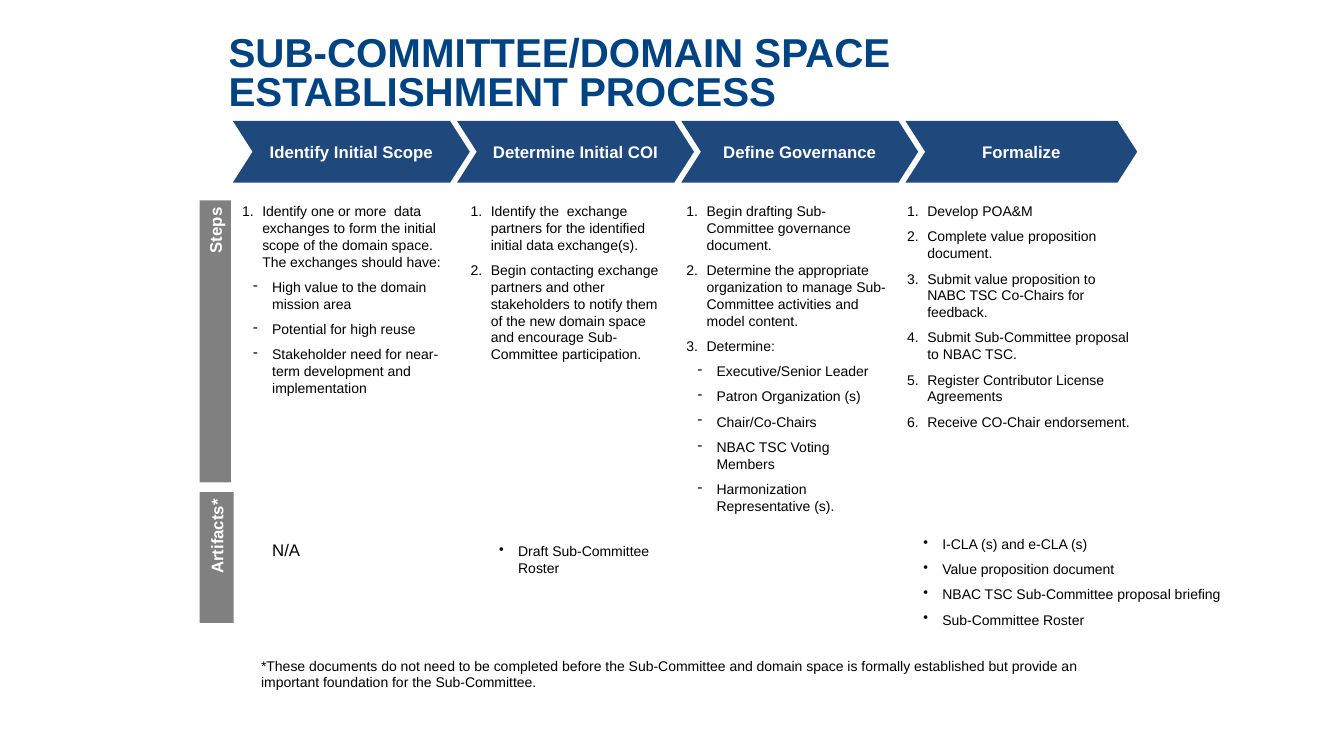
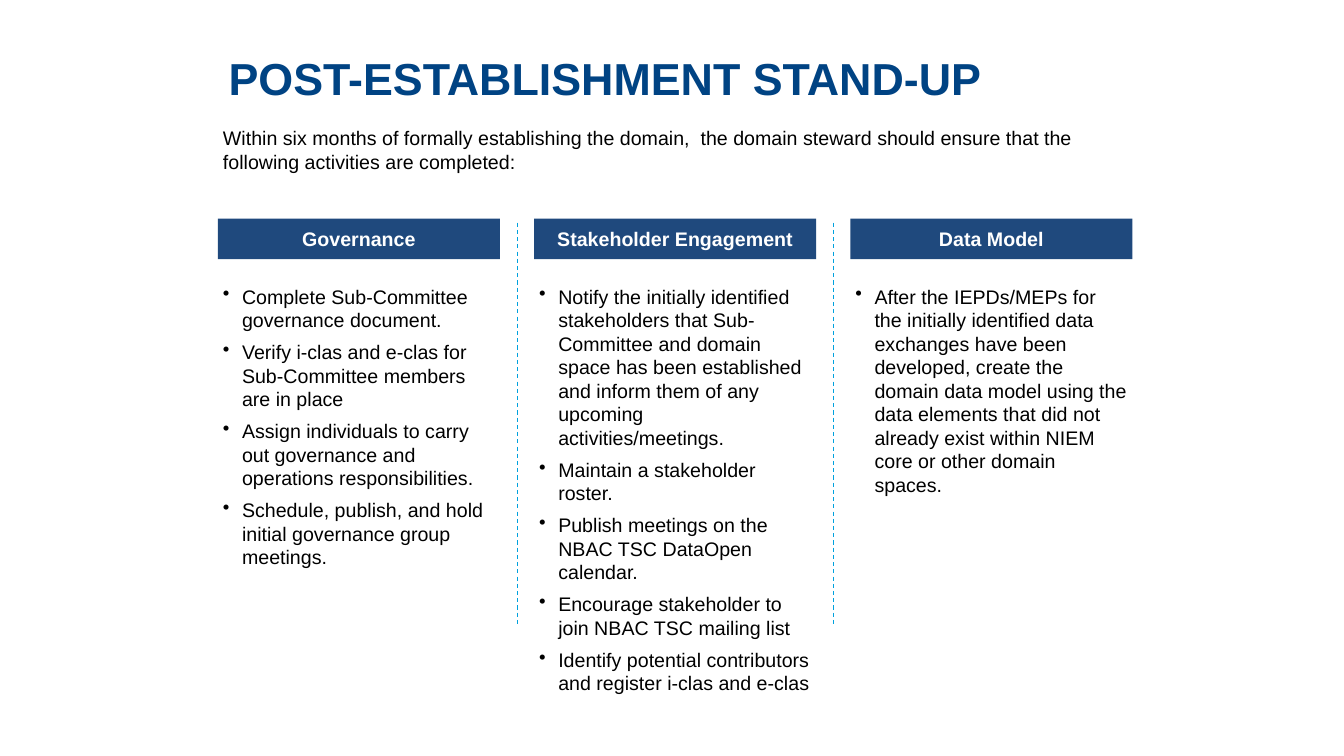
from pptx import Presentation
from pptx.dml.color import RGBColor as RGB
from pptx.enum.dml import MSO_LINE as Dash
from pptx.enum.shapes import MSO_CONNECTOR as Link, MSO_SHAPE as Form
from pptx.enum.text import MSO_ANCHOR as Anchor, MSO_AUTO_SIZE as Fit, PP_ALIGN as Align
from pptx.oxml.ns import qn
from pptx.util import Cm, Pt
from lxml.etree import SubElement as Sub

FONT = "Arial"
HUES = {"title": "004383", "navy": "1F497D", "gray": "808080",
        "rule": "00A1DE", "ink": "000000", "white": "FFFFFF"}

# Mark: left margin, hanging indent, tag, attributes, level
MARKS = {
    "num": (0.51, -0.51, "a:buAutoNum", {"type": "arabicPeriod"}, 0),
    "dot": (0.48, -0.48, "a:buChar", {"char": "\u2022"}, 0),
    "dash": (0.76, -0.48, "a:buChar", {"char": "-"}, 1),
}

# Stage: name, chevron width, text left, text width, steps
STAGES = [
    ("Identify Initial Scope", 5.97, 5.97, 5.49, [
        "Identify one or more  data exchanges to form the initial scope of "
        "the domain space. The exchanges should have:",
        "- High value to the domain mission area",
        "- Potential for high reuse",
        "- Stakeholder need for near-term development and implementation"]),
    ("Determine Initial COI", 5.97, 11.73, 5.11, [
        "Identify the  exchange partners for the identified initial data exchange(s).",
        "Begin contacting exchange partners and other stakeholders to notify them "
        "of the new domain space and encourage Sub-Committee participation."]),
    ("Define Governance", 5.97, 17.17, 5.38, [
        "Begin drafting Sub-Committee governance document.",
        "Determine the appropriate organization to manage Sub-Committee "
        "activities and model content.",
        "Determine:",
        "- Executive/Senior Leader",
        "- Patron Organization (s)",
        "- Chair/Co-Chairs",
        "- NBAC TSC Voting Members",
        "- Harmonization Representative (s)."]),
    ("Formalize", 5.84, 22.73, 5.99, [
        "Develop POA&M",
        "Complete value proposition document.",
        "Submit value proposition to NABC TSC Co-Chairs for feedback.",
        "Submit Sub-Committee proposal to NBAC TSC.",
        "Register Contributor License Agreements",
        "Receive CO-Chair endorsement."]),
]

# Artifact notes: box, size, mark, lines
NOTES = [
    ((6.73, 13.46, 4.24, 1.22), 12, None, ["N/A"]),
    ((12.45, 13.54, 4.85, 1.12), 10, "dot", ["Draft Sub-Committee Roster"]),
    ((23.14, 13.36, 8.69, 3.05), 10, "dot", [
        "I-CLA (s) and e-CLA (s)",
        "Value proposition document",
        "NBAC TSC Sub-Committee proposal briefing",
        "Sub-Committee Roster"]),
    ((6.45, 16.43, 22.1, 1.12), 10, None, [
        "*These documents do not need to be completed before the Sub-Committee "
        "and domain space is formally established but provide an important "
        "foundation for the Sub-Committee."]),
]

TASKS = [
    ("Governance", [
        "Complete Sub-Committee governance document.",
        "Verify i-clas and e-clas for Sub-Committee members are in place",
        "Assign individuals to carry out governance and operations responsibilities.",
        "Schedule, publish, and hold initial governance group meetings."]),
    ("Stakeholder Engagement", [
        "Notify the initially identified stakeholders that Sub-Committee and "
        "domain space has been established and inform them of any upcoming "
        "activities/meetings.",
        "Maintain a stakeholder roster.",
        "Publish meetings on the NBAC TSC DataOpen calendar.",
        "Encourage stakeholder to join NBAC TSC mailing list",
        "Identify potential contributors and register i-clas and e-clas"]),
    ("Data Model", [
        "After the IEPDs/MEPs for the initially identified data exchanges have "
        "been developed, create the domain data model using the data elements "
        "that did not already exist within NIEM core or other domain spaces."]),
]


def tint(hue):
    return RGB.from_string(HUES[hue])


def style(para, size, hue, bold=False):
    for run in para.runs:
        font = run.font
        font.name, font.size, font.bold = FONT, Pt(size), bold
        font.color.rgb = tint(hue)


def pad(frame, gap):
    frame.word_wrap = True
    frame.auto_size = Fit.NONE
    frame.margin_left = frame.margin_right = Cm(gap)
    frame.margin_top = frame.margin_bottom = Cm(gap)


def add_mark(para, name):
    left, hang, tag, attrs, level = MARKS[name]
    para.level = level
    props = para._p.get_or_add_pPr()
    props.set("marL", str(Cm(left)))
    props.set("indent", str(Cm(hang)))
    Sub(props, qn(tag), attrs)


def add_title(deck, text, top, high, size):
    slide = deck.slides.add_slide(deck.slide_layouts[5])
    title = slide.shapes.title
    title.left, title.top = Cm(5.51), Cm(top)
    title.width, title.height = Cm(22.86), Cm(high)
    frame = title.text_frame
    frame.text = text
    pad(frame, 0.13)
    frame.margin_left = frame.margin_right = Cm(0.25)
    frame.vertical_anchor = Anchor.TOP
    para = frame.paragraphs[0]
    para.alignment, para.line_spacing = Align.LEFT, 0.8
    style(para, size, "title", True)
    return slide


def add_text(slide, box, lines, size, mark=None):
    frame = slide.shapes.add_textbox(*map(Cm, box)).text_frame
    pad(frame, 0.13)
    for i, line in enumerate(lines):
        para = frame.add_paragraph() if i else frame.paragraphs[0]
        para.text = line.removeprefix("- ")
        para.space_after = Pt(6)
        if mark:
            add_mark(para, "dash" if line.startswith("- ") else mark)
        style(para, size, "ink")


def add_block(slide, form, box, text, size, hue="navy", gap=0):
    shape = slide.shapes.add_shape(form, *map(Cm, box))
    shape.shadow.inherit = False
    shape.fill.solid()
    shape.fill.fore_color.rgb = tint(hue)
    shape.line.fill.background()
    frame = shape.text_frame
    frame.text = text
    pad(frame, gap)
    frame.vertical_anchor = Anchor.MIDDLE
    para = frame.paragraphs[0]
    para.alignment = Align.CENTER
    style(para, size, "white", True)
    return shape


def add_side(slide, box, text):
    frame = add_block(slide, Form.RECTANGLE, box, text, 12, "gray", 0.18).text_frame
    frame._txBody.bodyPr.set("vert", "vert270")
    frame.paragraphs[0].alignment = Align.RIGHT


def add_rule(slide, x, top, end):
    rule = slide.shapes.add_connector(Link.STRAIGHT, Cm(x), Cm(top), Cm(x), Cm(end))
    rule.line.color.rgb = tint("rule")
    rule.line.width = Pt(0.75)
    rule.line.dash_style = Dash.DASH
    Sub(rule._element.spPr, qn("a:effectLst"))


def draw_flow(deck):
    slide = add_title(deck, "SUB-COMMITTEE/DOMAIN SPACE ESTABLISHMENT PROCESS",
                      0.79, 2.26, 28.8)
    # Stages and their steps
    for i, (name, wide, left, span, steps) in enumerate(STAGES):
        box = (5.87 + 5.65 * i, 3.05, wide, 1.55)
        arrow = add_block(slide, Form.CHEVRON, box, name, 12)
        arrow.adjustments[0] = 0.32
        add_text(slide, (left, 4.98, span, 7.3), steps, 10, "num")
    # Row labels
    add_side(slide, (5.03, 5.05, 0.79, 7.11), "Steps")
    add_side(slide, (5.03, 12.4, 0.86, 3.3), "Artifacts*")
    # Artifacts and footnote
    for box, size, mark, lines in NOTES:
        add_text(slide, box, lines, size, mark)


def draw_tasks(deck):
    slide = add_title(deck, "POST-ESTABLISHMENT STAND-UP", 1.4, 2.13, 32)
    add_text(slide, (5.49, 3.05, 22.89, 1.78), [
        "Within six months of formally establishing the domain,  the domain "
        "steward should ensure that the following activities are completed:"], 14)
    # Columns with a dashed rule between them
    wide, step = 7.11, 7.97
    for i, (name, lines) in enumerate(TASKS):
        left = 5.49 + step * i
        add_block(slide, Form.RECTANGLE, (left, 5.51, wide, 1.02), name, 14)
        add_text(slide, (left, 7.04, wide, 10.6), lines, 14, "dot")
        if i:
            add_rule(slide, left - (step - wide) / 2, 5.61, 15.77)


def main():
    deck = Presentation()
    deck.slide_width, deck.slide_height = Cm(33.87), Cm(19.05)
    draw_flow(deck)
    draw_tasks(deck)
    deck.save("out.pptx")


main()
